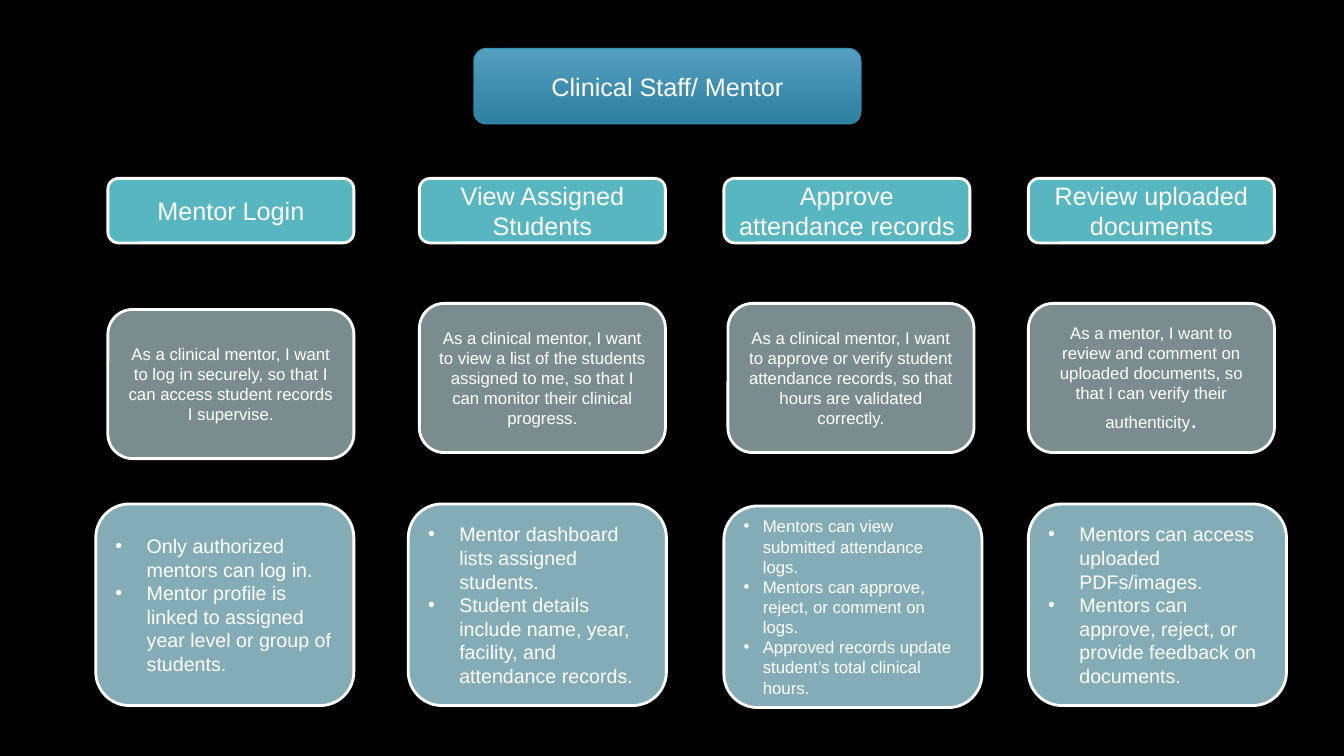
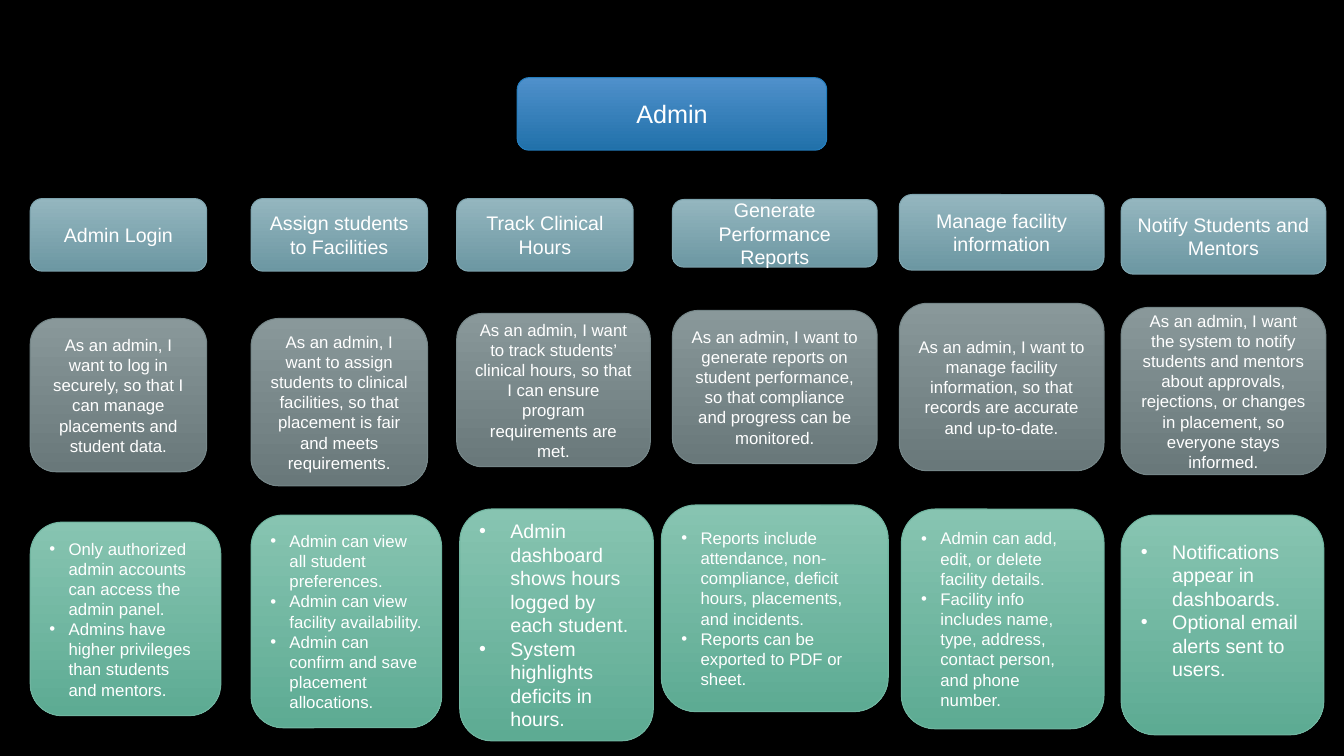
"""Build two user-story maps, one for mentors and one for admins."""
from dataclasses import dataclass

from lxml import etree
from pptx import Presentation
from pptx import util as u
from pptx.dml.color import RGBColor
from pptx.enum import shapes, text
from pptx.oxml import ns


@dataclass(frozen=True)
class Paint:
    """Fill colours and outline of one kind of card."""
    fill: tuple
    line: str
    weight: float = 0.75


@dataclass(frozen=True)
class Theme:
    """Colours and type sizes of the deck."""
    font: str = "Arial"
    background: str = "000000"
    ink: str = "FFFFFF"
    large: int = 18
    medium: int = 14
    small: int = 12
    mentor_title: Paint = Paint(("559FC0", "2D7FA0"), "328DB2")
    mentor_rows: tuple = (
        Paint(("58B6C0",), "FFFFFF", 2),
        Paint(("7A8C8E",), "FFFFFF", 2),
        Paint(("84ACB6",), "FFFFFF", 2),
    )
    admin_title: Paint = Paint(("4F90CB", "2171AA"), "247DBD")
    admin_rows: tuple = (
        Paint(("94B6BF", "6C97A2"), "7EA4AE"),
        Paint(("89989A", "69787A"), "758688"),
        Paint(("87C4B1", "5DAB93"), "70B5A0"),
    )


THEME = Theme()


@dataclass(frozen=True)
class Column:
    """One feature; each box is offset from left, top, width, height."""
    left: float
    heading: str
    story: str
    criteria: tuple
    heading_box: tuple = (0, 1.77, 2.44, 0.64)
    story_box: tuple = (0, 3.01, 2.44, 1.48)
    criteria_box: tuple = (0, 5, 2.56, 2)
    criteria_size: int = THEME.small
    story_end: str = ""
    bottom_inset: float = 0.05


MENTOR_COLUMNS = (
    Column(
        1.07, "Mentor Login",
        "As a clinical mentor, I want to log in securely, so that I can access student records I supervise.",
        ("Only authorized mentors can log in.",
         "Mentor profile is linked to assigned year level or group of students."),
        story_box=(0, 3.07, 2.44, 1.48), criteria_box=(-0.12, 5, 2.56, 2),
        criteria_size=THEME.medium),
    Column(
        4.16, "View Assigned Students",
        "As a clinical mentor, I want to view a list of the students assigned to me, "
        "so that I can monitor their clinical progress.",
        ("Mentor dashboard lists assigned students.",
         "Student details include name, year, facility, and attendance records."),
        criteria_box=(-0.11, 5, 2.56, 2), criteria_size=THEME.medium),
    Column(
        7.18, "Approve attendance records",
        "As a clinical mentor, I want to approve or verify student attendance records, "
        "so that hours are validated correctly.",
        ("Mentors can view submitted attendance logs.",
         "Mentors can approve, reject, or comment on logs.",
         "Approved records update student’s total clinical hours."),
        story_box=(0.04, 3.01, 2.44, 1.48), criteria_box=(0, 5.02, 2.56, 2)),
    Column(
        10.2, "Review uploaded documents",
        "As a mentor, I want to review and comment on uploaded documents, so that I can verify their authenticity",
        ("Mentors can access uploaded PDFs/images.",
         "Mentors can approve, reject, or provide feedback on documents."),
        criteria_size=THEME.medium, story_end="."),
)

ADMIN_COLUMNS = (
    Column(
        0.3, "Admin Login",
        "As an admin, I want to log in securely, so that I can manage placements and student data.",
        ("Only authorized admin accounts can access the admin panel.",
         "Admins have higher privileges than students and mentors."),
        (0, 1.97, 1.75, 0.72), (0, 3.16, 1.75, 1.52), (0, 5.18, 1.89, 1.92)),
    Column(
        2.49, "Assign students to Facilities",
        "As an admin, I want to assign students to clinical facilities, "
        "so that placement is fair and meets requirements.",
        ("Admin can view all student preferences.",
         "Admin can view facility availability.",
         "Admin can confirm and save placement allocations."),
        (0, 1.97, 1.75, 0.72), (0, 3.16, 1.75, 1.66), (0, 5.11, 1.89, 2.11)),
    Column(
        4.53, "Track Clinical Hours",
        "As an admin, I want to track students’ clinical hours, so that I can ensure program requirements are met.",
        ("Admin dashboard shows hours logged by each student.",
         "System highlights deficits in hours."),
        (0, 1.97, 1.75, 0.72), (0, 3.11, 1.92, 1.52), (0.03, 5.05, 1.92, 2.3),
        criteria_size=THEME.medium),
    Column(
        6.67, "Generate Performance Reports",
        "As an admin, I want to generate reports on student performance, "
        "so that compliance and progress can be monitored.",
        ("Reports include attendance, non-compliance, deficit hours, placements, and incidents.",
         "Reports can be exported to PDF or sheet."),
        (0, 1.98, 2.03, 0.67), (0, 3.08, 2.03, 1.52), (-0.11, 5.01, 2.25, 2.05)),
    Column(
        8.92, "Manage facility information",
        "As an admin, I want to manage facility information, so that records are accurate and up-to-date.",
        ("Admin can add, edit, or delete facility details.",
         "Facility info includes name, type, address, contact person, and phone number."),
        (0, 1.93, 2.03, 0.75), (0, 3.01, 2.03, 1.66), (0.02, 5.05, 2.01, 2.18)),
    Column(
        11.12, "Notify Students and Mentors",
        "As an admin, I want the system to notify students and mentors about approvals, rejections, "
        "or changes in placement, so everyone stays informed.",
        ("Notifications appear in dashboards.",
         "Optional email alerts sent to users."),
        (0, 1.97, 2.03, 0.75), (0, 3.05, 2.03, 1.66), (0, 5.11, 2.01, 2.18),
        criteria_size=THEME.medium, bottom_inset=0.34),
)


def color(value):
    """Turn a hex string into a colour."""
    return RGBColor.from_string(value)


def add_element(parent, tag, **attributes):
    """Append a drawing element to its parent."""
    return etree.SubElement(parent, ns.qn(tag), {key: str(value) for key, value in attributes.items()})


def add_shadow(shape):
    """Give a shape a soft shadow that falls straight down."""
    effects = shape._element.spPr.find(ns.qn("a:effectLst"))
    shadow = add_element(effects, "a:outerShdw", blurRad=u.Pt(5), dist=u.Pt(2), dir=5400000, rotWithShape=0)
    black = add_element(shadow, "a:srgbClr", val="000000")
    add_element(black, "a:alpha", val=60000)


def add_card(page, box, paint):
    """Draw a rounded card, flat or with a vertical gradient."""
    card = page.shapes.add_shape(shapes.MSO_SHAPE.ROUNDED_RECTANGLE, *map(u.Inches, box))
    card.shadow.inherit = False
    if len(paint.fill) == 1:
        card.fill.solid()
        card.fill.fore_color.rgb = color(paint.fill[0])
    else:
        card.fill.gradient()
        card.fill.gradient_angle = 270
        for stop, value in zip(card.fill.gradient_stops, paint.fill):
            stop.color.rgb = color(value)
        add_shadow(card)
    card.line.color.rgb = color(paint.line)
    card.line.width = u.Pt(paint.weight)
    return card


def add_bullet(para, indent):
    """Hang a paragraph behind a round bullet."""
    properties = para._p.get_or_add_pPr()
    properties.set("marL", str(u.Inches(indent)))
    properties.set("indent", str(-u.Inches(indent)))
    add_element(properties, "a:buFont", typeface=THEME.font)
    add_element(properties, "a:buChar", char="•")


def style_font(font, size):
    """Apply the deck font and ink at a size."""
    font.name = THEME.font
    font.size = u.Pt(size)
    font.color.rgb = color(THEME.ink)


def write(shape, *lines, size, indent=0, ending="", bottom_inset=0.05):
    """Write centred text, or a bulleted list when an indent is given."""
    frame = shape.text_frame
    frame.word_wrap = True
    frame.auto_size = text.MSO_AUTO_SIZE.NONE
    frame.vertical_anchor = text.MSO_ANCHOR.MIDDLE
    frame.margin_bottom = u.Inches(bottom_inset)
    for index, line in enumerate(lines):
        para = frame.add_paragraph() if index else frame.paragraphs[0]
        para.alignment = text.PP_ALIGN.LEFT if indent else text.PP_ALIGN.CENTER
        if indent:
            add_bullet(para, indent)
        span = para.add_run()
        span.text = line
        style_font(span.font, size)
    if ending:
        span = para.add_run()
        span.text = ending
        style_font(span.font, THEME.large)


def add_title(page, box, title, paint):
    """Place the title over its card."""
    card = add_card(page, box, paint)
    holder = page.shapes.title
    holder._element.addprevious(card._element)
    holder.left, holder.top, holder.width, holder.height = map(u.Inches, box)
    write(holder, title, size=THEME.large)


def add_column(page, column, paints, heading_size):
    """Stack the heading, story and criteria of one feature."""
    boxes = (column.heading_box, column.story_box, column.criteria_box)
    heading, story, criteria = (
        add_card(page, (column.left + offset, *rest), paint)
        for (offset, *rest), paint in zip(boxes, paints))
    write(heading, column.heading, size=heading_size)
    write(story, column.story, size=THEME.small, ending=column.story_end)
    indent = 0.31 if column.criteria_size == THEME.medium else 0.19
    write(criteria, *column.criteria, size=column.criteria_size, indent=indent,
          bottom_inset=column.bottom_inset)


def add_story_map(deck, title, title_box, title_paint, columns, paints, heading_size):
    """Add a slide with a title card above its feature columns."""
    page = deck.slides.add_slide(deck.slide_layouts.get_by_name("Title Only"))
    add_title(page, title_box, title, title_paint)
    for column in columns:
        add_column(page, column, paints, heading_size)


def main():
    """Build and save the deck."""
    deck = Presentation()
    deck.slide_width, deck.slide_height = u.Inches(13.33), u.Inches(7.5)
    backdrop = deck.slide_master.background.fill
    backdrop.solid()
    backdrop.fore_color.rgb = color(THEME.background)
    add_story_map(deck, "Clinical Staff/ Mentor", (4.7, 0.48, 3.84, 0.75), THEME.mentor_title,
                  MENTOR_COLUMNS, THEME.mentor_rows, THEME.large)
    add_story_map(deck, "Admin", (5.13, 0.77, 3.07, 0.72), THEME.admin_title,
                  ADMIN_COLUMNS, THEME.admin_rows, THEME.medium)
    deck.save("out.pptx")


if __name__ == "__main__":
    main()
